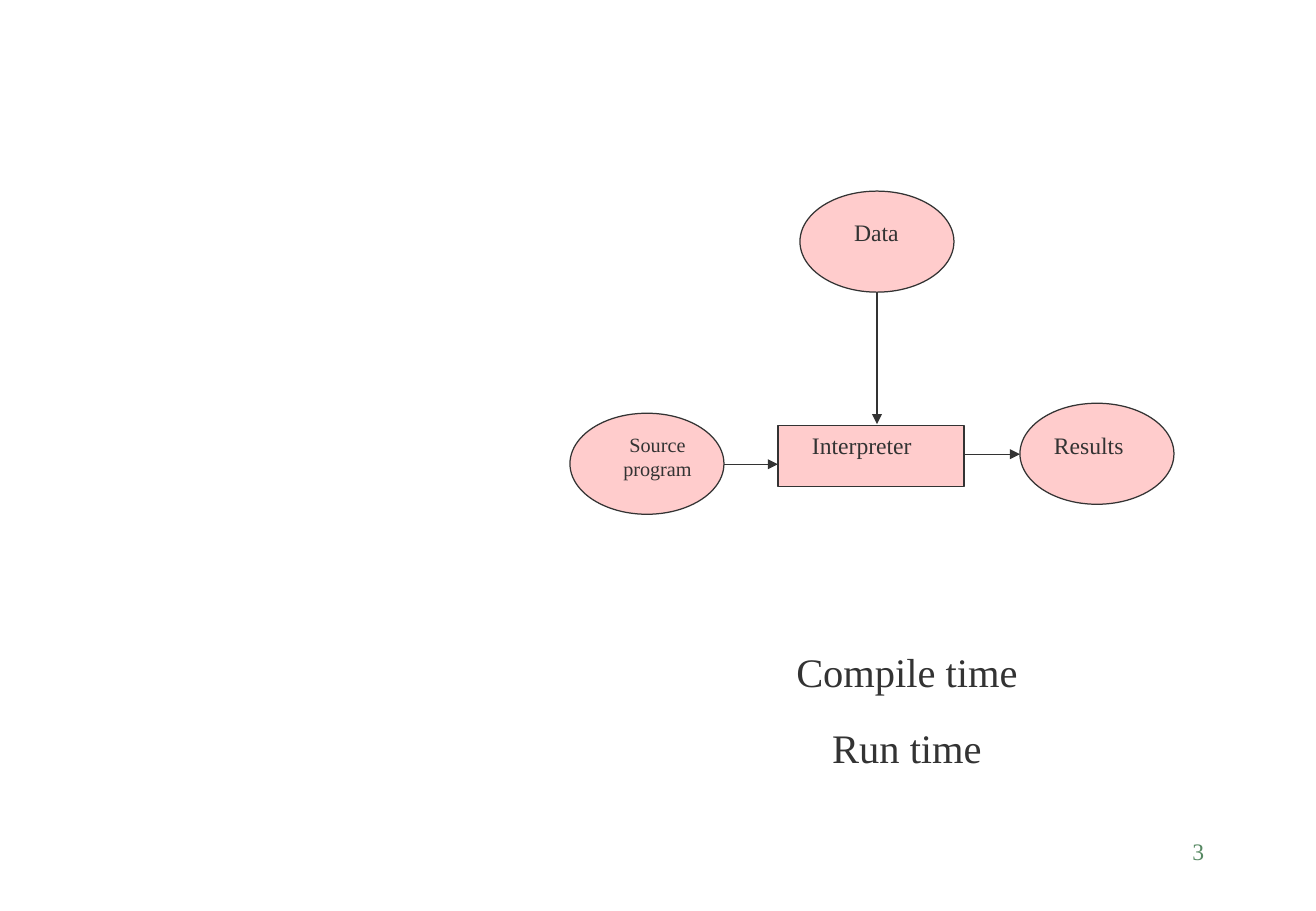
from pptx import Presentation
from pptx.dml.color import RGBColor
from pptx.enum.shapes import MSO_CONNECTOR as Connector, MSO_SHAPE as Shape
from pptx.enum.text import PP_ALIGN as Align
from pptx.oxml.ns import qn
from pptx.util import Inches, Pt
from lxml.etree import SubElement

SCALE = 914400 / 121.4


def px(length):
    return round(length * SCALE)


def color(value):
    return RGBColor.from_string(value)


class Diagram:
    font = "Times New Roman"
    ink = "333333"
    pink = "FFCCCC"
    green = "578963"

    def __init__(self, page):
        self.page = page

    def outline(self, line):
        line.color.rgb = color(self.ink)
        line.width = Pt(0.75)

    def node(self, kind, left, top, width, height):
        node = self.page.shapes.add_shape(kind, px(left), px(top), px(width), px(height))
        node.shadow.inherit = False
        node.fill.solid()
        node.fill.fore_color.rgb = color(self.pink)
        self.outline(node.line)

    def arrow(self, x1, y1, x2, y2):
        arrow = self.page.shapes.add_connector(
            Connector.STRAIGHT, px(x1), px(y1), px(x2), px(y2))
        self.outline(arrow.line)
        properties = arrow._element.spPr
        SubElement(properties.find(qn("a:ln")), qn("a:tailEnd"), type="triangle")
        SubElement(properties, qn("a:effectLst"))

    def text(self, lines, left, top, width, height, size=14, align=Align.LEFT, ink=ink):
        box = self.page.shapes.add_textbox(px(left), px(top), px(width), px(height))
        frame = box.text_frame
        frame.word_wrap = True
        for index, line in enumerate(lines):
            para = frame.add_paragraph() if index else frame.paragraphs[0]
            para.alignment = align
            if index:
                para.space_before = Pt(16)
            span = para.add_run()
            span.text = line
            span.font.name = self.font
            span.font.size = Pt(size)
            span.font.color.rgb = color(ink)


def main():
    deck = Presentation()
    deck.slide_width = Inches(10.84)
    deck.slide_height = Inches(7.5)
    diagram = Diagram(deck.slides.add_slide(deck.slide_layouts[6]))

    diagram.text(["3"], 942, 830, 274, 61, align=Align.RIGHT, ink=Diagram.green)

    for left, top in [(1020, 403), (570, 413), (800, 191)]:
        diagram.node(Shape.OVAL, left, top, 154, 101)
    diagram.node(Shape.RECTANGLE, 778, 425, 186, 61)

    diagram.arrow(877, 292, 877, 424)
    diagram.arrow(724, 464, 778, 464)
    diagram.arrow(964, 454, 1020, 454)

    diagram.text(["Data"], 833, 212, 87, 41, align=Align.CENTER)
    diagram.text(["Results"], 1042, 425, 109, 41)
    diagram.text(["Source program"], 603, 426, 109, 61, size=12, align=Align.CENTER)
    diagram.text(["Interpreter"], 800, 425, 153, 41)
    diagram.text(["Compile time", "Run time"], 688, 641, 438, 135, size=24, align=Align.CENTER)

    deck.save("out.pptx")


if __name__ == "__main__":
    main()
